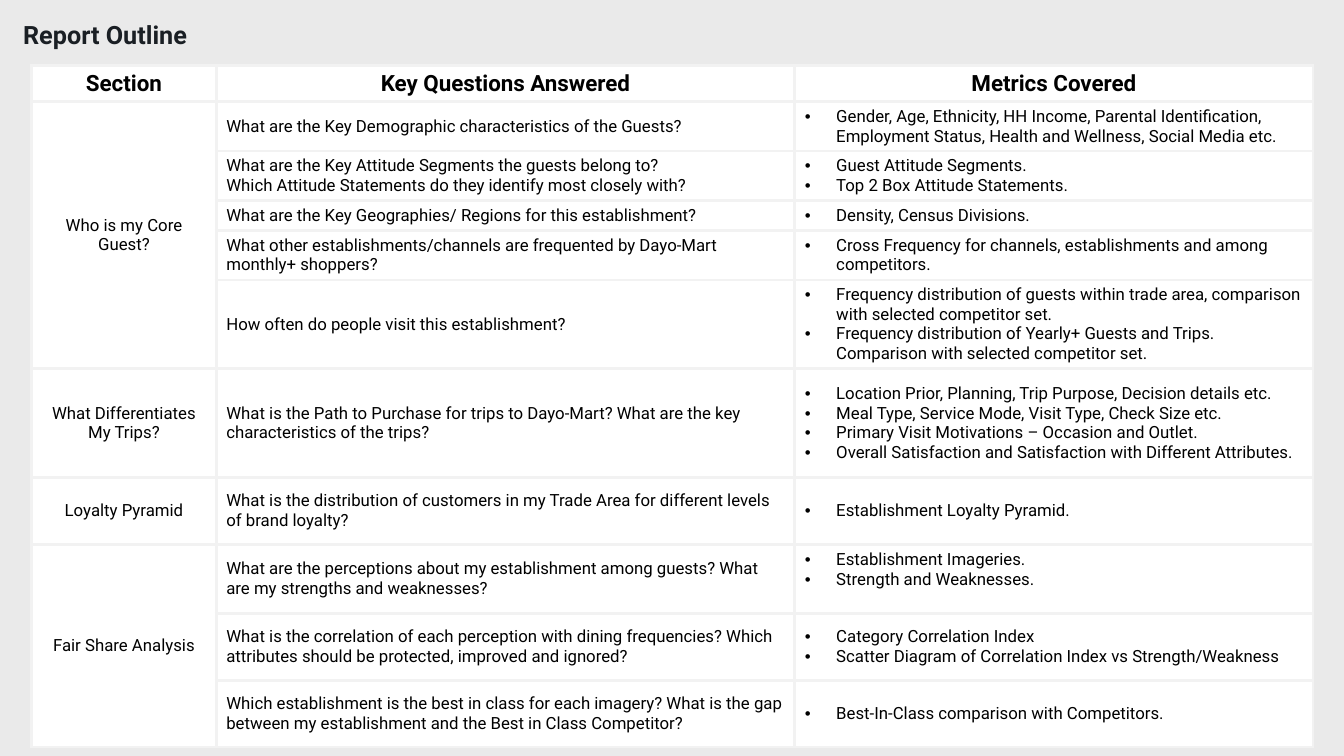
from lxml import etree
from pptx import Presentation
from pptx import util as u
from pptx.dml.color import RGBColor
from pptx.enum import text as t
from pptx.oxml.ns import qn

FONT = "Roboto"
BACKGROUND, WHITE, BLACK, TITLE_INK, BORDER = "EAEAEA", "FFFFFF", "000000", "1A1F24", "F2F2F2"

HEADERS = ["Section", "Key Questions Answered", "Metrics Covered"]
COLUMN_WIDTHS = [4.65, 14.58, 13.06]
HEADER_HEIGHT = 0.91

# Each section holds rows of (height, questions, metrics)
SECTIONS = [
    ("Who is my Core Guest?", [
        (1.24, ["What are the Key Demographic characteristics of the Guests?"],
         ["Gender, Age, Ethnicity, HH Income, Parental Identification, Employment Status, "
          "Health and Wellness, Social Media etc."]),
        (1.24, ["What are the Key Attitude Segments the guests belong to?",
                "Which Attitude Statements do they identify most closely with?"],
         ["Guest Attitude Segments.", "Top 2 Box Attitude Statements."]),
        (0.74, ["What are the Key Geographies/ Regions for this establishment?"],
         ["Density, Census Divisions."]),
        (1.24, ["What other establishments/channels are frequented by Dayo-Mart monthly+ shoppers?"],
         ["Cross Frequency for channels, establishments and among competitors."]),
        (2.24, ["How often do people visit this establishment?"],
         ["Frequency distribution of guests within trade area, comparison with selected competitor set.",
          "Frequency distribution of Yearly+ Guests and Trips. Comparison with selected competitor set."]),
    ]),
    ("What Differentiates My Trips?", [
        (2.74, ["What is the Path to Purchase for trips to Dayo-Mart? "
                "What are the key characteristics of the trips?"],
         ["Location Prior, Planning, Trip Purpose, Decision details etc.",
          "Meal Type, Service Mode, Visit Type, Check Size etc.",
          "Primary Visit Motivations – Occasion and Outlet.",
          "Overall Satisfaction and Satisfaction with Different Attributes."]),
    ]),
    ("Loyalty Pyramid", [
        (1.68, ["What is the distribution of customers in my Trade Area for different levels of brand loyalty?"],
         ["Establishment Loyalty Pyramid."]),
    ]),
    ("Fair Share Analysis", [
        (1.75, ["What are the perceptions about my establishment among guests? "
                "What are my strengths and weaknesses?"],
         ["Establishment Imageries.", "Strength and Weaknesses."]),
        (1.68, ["What is the correlation of each perception with dining frequencies? "
                "Which attributes should be protected, improved and ignored?"],
         ["Category Correlation Index", "Scatter Diagram of Correlation Index vs Strength/Weakness"]),
        (1.68, ["Which establishment is the best in class for each imagery? "
                "What is the gap between my establishment and the Best in Class Competitor?"],
         ["Best-In-Class comparison with Competitors."]),
    ]),
]
RAISED_METRICS = "Establishment Imageries."


def color(value):
    return RGBColor.from_string(value)


def write(frame, lines, size=12, bold=False, ink=BLACK, align=t.PP_ALIGN.LEFT, bullet_indent=None, spacing=None):
    """Fill a text frame with one paragraph per line."""
    for index, line in enumerate(lines):
        paragraph = frame.paragraphs[0] if index == 0 else frame.add_paragraph()
        paragraph.alignment = align
        if spacing:
            paragraph.line_spacing = spacing
        if bullet_indent:
            properties = paragraph._p.get_or_add_pPr()
            properties.set("marL", str(u.Cm(bullet_indent)))
            properties.set("indent", str(-u.Cm(bullet_indent)))
            etree.SubElement(properties, qn("a:buFont"), typeface="Arial")
            etree.SubElement(properties, qn("a:buChar"), char="•")
        run = paragraph.add_run()
        run.text = line
        run.font.name, run.font.size, run.font.bold = FONT, u.Pt(size), bold
        run.font.color.rgb = color(ink)


def style_cell(cell):
    """White fill, middle anchor and pale borders on all sides."""
    cell.vertical_anchor = t.MSO_ANCHOR.MIDDLE
    properties = cell._tc.get_or_add_tcPr()
    for side in ("a:lnL", "a:lnR", "a:lnT", "a:lnB"):
        line = etree.SubElement(properties, qn(side), w=str(u.Pt(2.25)))
        fill = etree.SubElement(line, qn("a:solidFill"))
        etree.SubElement(fill, qn("a:srgbClr"), val=BORDER)
    cell.fill.solid()
    cell.fill.fore_color.rgb = color(WHITE)


def add_title(slide, left, top, width, height):
    title = slide.shapes.title
    title.left, title.top, title.width, title.height = map(u.Cm, (left, top, width, height))
    frame = title.text_frame
    frame.word_wrap = True
    frame.auto_size = t.MSO_AUTO_SIZE.NONE
    frame.vertical_anchor = t.MSO_ANCHOR.TOP
    write(frame, ["Report Outline"], size=18, bold=True, ink=TITLE_INK, spacing=1.15)


def add_outline_table(slide, left, top):
    heights = [HEADER_HEIGHT] + [row[0] for _, rows in SECTIONS for row in rows]
    table = slide.shapes.add_table(
        len(heights), len(HEADERS), u.Cm(left), u.Cm(top),
        u.Cm(sum(COLUMN_WIDTHS)), u.Cm(sum(heights))).table
    table.first_row = table.horz_banding = False
    for column, width in zip(table.columns, COLUMN_WIDTHS):
        column.width = u.Cm(width)
    for row, height in zip(table.rows, heights):
        row.height = u.Cm(height)
    for cell in table.iter_cells():
        style_cell(cell)

    # Header row
    for index, header in enumerate(HEADERS):
        write(table.cell(0, index).text_frame, [header], size=16, bold=True, align=t.PP_ALIGN.CENTER)

    # Sections, each spanning its own rows
    first = 1
    for section, rows in SECTIONS:
        section_cell = table.cell(first, 0)
        if len(rows) > 1:
            section_cell.merge(table.cell(first + len(rows) - 1, 0))
        write(section_cell.text_frame, [section], align=t.PP_ALIGN.CENTER)
        for index, (_, questions, metrics) in enumerate(rows, first):
            write(table.cell(index, 1).text_frame, questions)
            metrics_cell = table.cell(index, 2)
            write(metrics_cell.text_frame, metrics, bullet_indent=0.79)
            if metrics[0] == RAISED_METRICS:
                metrics_cell.margin_bottom = u.Cm(0.6)
        first += len(rows)


def main():
    presentation = Presentation()
    presentation.slide_width, presentation.slide_height = u.Cm(33.87), u.Cm(19.05)
    slide = presentation.slides.add_slide(presentation.slide_layouts[5])
    slide.background.fill.solid()
    slide.background.fill.fore_color.rgb = color(BACKGROUND)
    add_title(slide, 0.33, 0.25, 32.26, 1.07)
    add_outline_table(slide, 0.8, 1.65)
    presentation.save("out.pptx")


if __name__ == "__main__":
    main()
